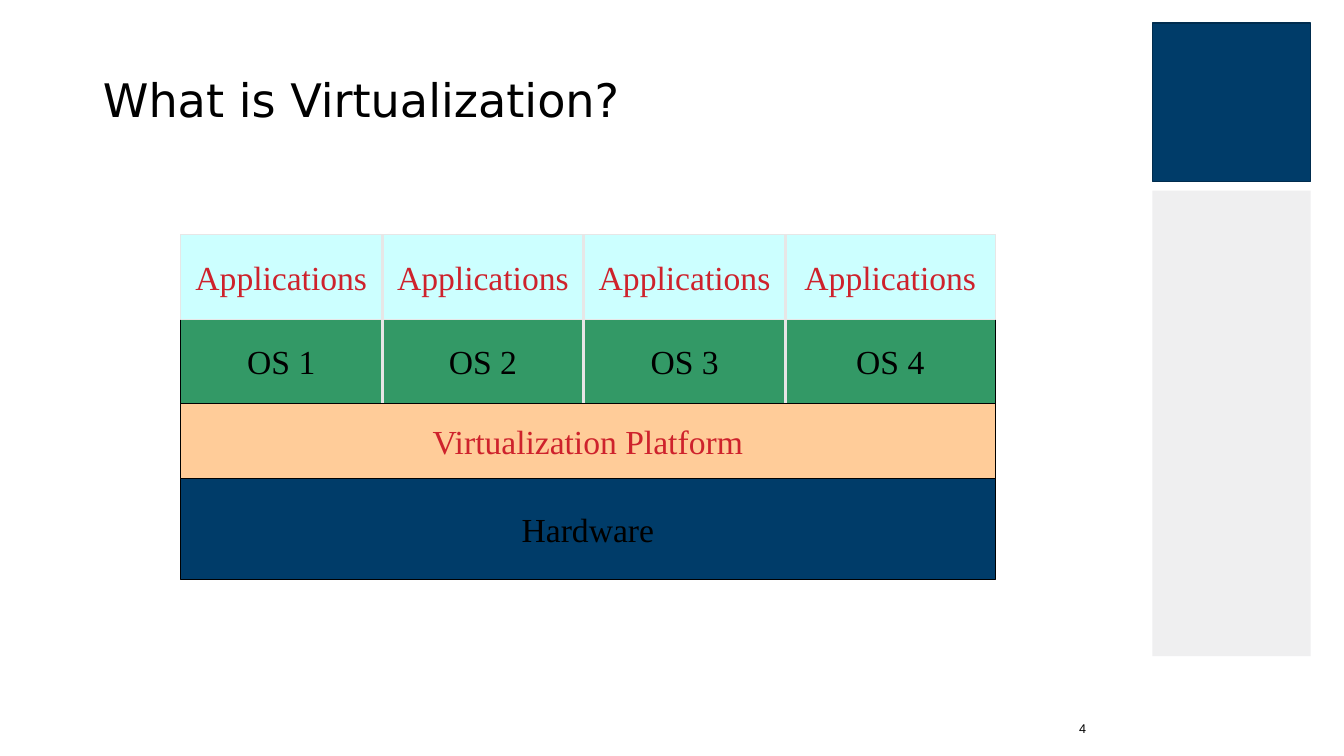
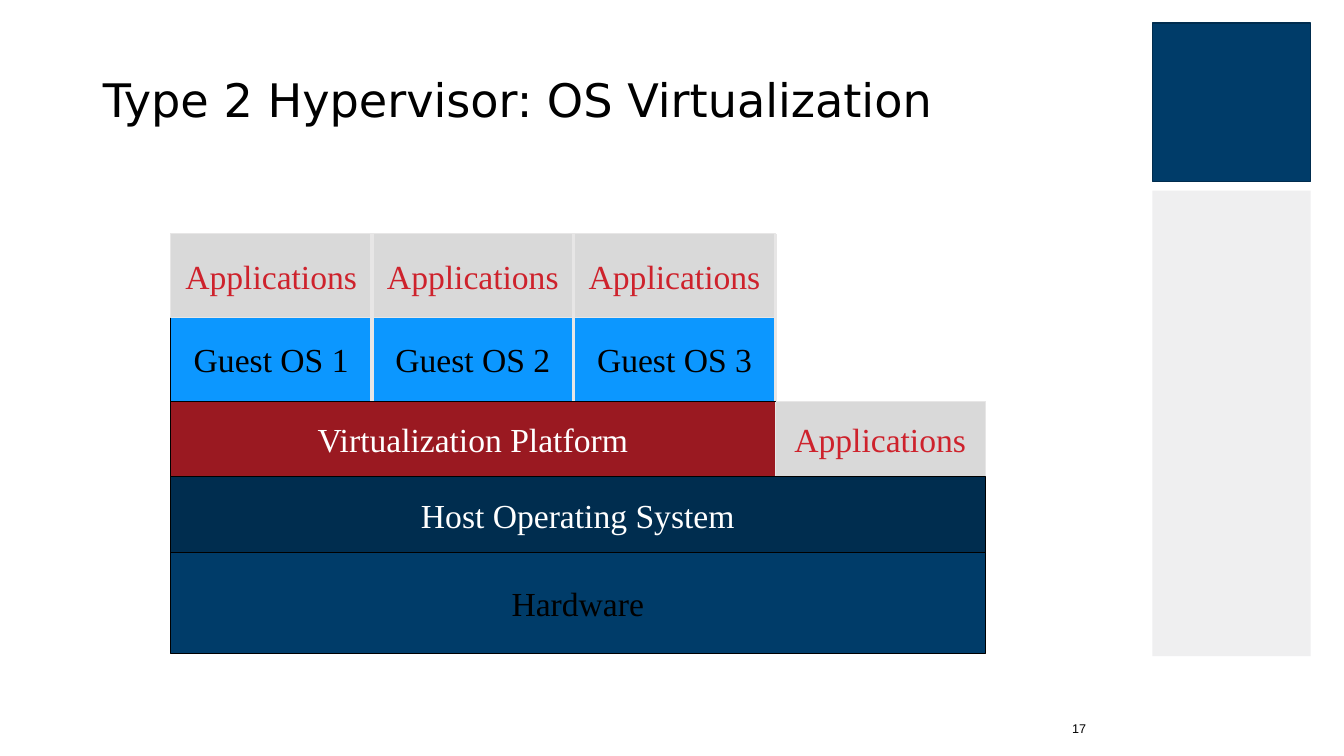
"""Builds two slides that show virtualization stacks."""
from dataclasses import dataclass

from lxml import etree
from pptx import Presentation
from pptx.dml.color import RGBColor
from pptx.enum.shapes import MSO_CONNECTOR, MSO_SHAPE
from pptx.enum.text import MSO_ANCHOR, MSO_AUTO_SIZE, PP_ALIGN
from pptx.oxml.ns import qn
from pptx.util import Pt

RECT, STRAIGHT = MSO_SHAPE.RECTANGLE, MSO_CONNECTOR.STRAIGHT
MIDDLE, BOTTOM = MSO_ANCHOR.MIDDLE, MSO_ANCHOR.BOTTOM
LEFT, CENTER, RIGHT = PP_ALIGN.LEFT, PP_ALIGN.CENTER, PP_ALIGN.RIGHT
NO_FIT = MSO_AUTO_SIZE.NONE
TITLE_ONLY = 5


@dataclass(frozen=True)
class Theme:
    """Colours, fonts and type sizes."""
    black: str = "000000"
    white: str = "FFFFFF"
    navy: str = "003C69"
    dark_navy: str = "002C4E"
    host: str = "002D4F"
    band: str = "EFEFF0"
    rule: str = "E7E6E6"
    red: str = "CE222C"
    dark_red: str = "9A1921"
    green: str = "339966"
    blue: str = "0C97FF"
    peach: str = "FFCC99"
    cyan: str = "CCFFFF"
    grey: str = "D9D9D9"
    title_font: str = "DejaVu Sans"
    number_font: str = "Arial"
    box_font: str = "Times New Roman"
    title_size: float = 33
    number_size: float = 9
    box_size: float = 24
    box_line: float = 0.75
    divider_line: float = 2.25


T = Theme()
PX = 9144
SLIDE_SIZE = (1333, 750)
TITLE_AT = (92, 23, 995, 157)
NUMBER_AT = (942, 695, 145, 40)
BANDS = [
    ((1143, 189, 157, 462), T.band, None),
    ((1143, 23, 157, 157), T.navy, T.dark_navy),
]
COLUMN_EDGES = [0, 200, 400, 600, 808]

STYLES = {
    "hardware": (T.navy, T.black, T.black),
    "host": (T.host, T.black, T.white),
    "platform": (T.peach, T.black, T.red),
    "hypervisor": (T.dark_red, T.black, T.white),
    "os": (T.green, T.black, T.black),
    "guest": (T.blue, T.black, T.black),
    "app": (T.cyan, T.rule, T.red),
    "guest app": (T.grey, T.rule, T.red),
}

SLIDES = [
    {
        "title": "What is Virtualization?",
        "number": "4",
        "origin": (179, 233),
        "divider": 167,
        "rows": [
            (242, 100, [("hardware", "Hardware", 4)]),
            (167, 75, [("platform", "Virtualization Platform", 4)]),
            (84, 83, [("os", f"OS {n}", 1) for n in range(1, 5)]),
            (0, 84, [("app", "Applications", 1)] * 4),
        ],
    },
    {
        "title": "Type 2 Hypervisor: OS Virtualization",
        "number": "17",
        "origin": (169, 232),
        "divider": 166,
        "rows": [
            (316, 100, [("hardware", "Hardware", 4)]),
            (166, 75, [("hypervisor", "Virtualization Platform", 3),
                       ("guest app", "Applications", 1)]),
            (83, 83, [("guest", f"Guest OS {n}", 1) for n in range(1, 4)]),
            (0, 83, [("guest app", "Applications", 1)] * 3),
            (241, 75, [("host", "Host Operating System", 4)]),
        ],
    },
]


def emu(*lengths):
    """Turns px into EMU."""
    return [n * PX for n in lengths]


def rgb(color):
    """Reads a colour of the theme."""
    return RGBColor.from_string(color)


def write(sp, text, font, size, color, align, anchor, wrap=True):
    """Puts one formatted paragraph in a shape."""
    tf = sp.text_frame
    tf.text = text
    tf.auto_size = NO_FIT
    tf.word_wrap = wrap
    tf.vertical_anchor = anchor
    p = tf.paragraphs[0]
    p.alignment = align
    p.font.name, p.font.size = font, Pt(size)
    p.font.color.rgb = rgb(color)
    return p


def add_rect(s, at, fill, line, width):
    """Adds a flat rectangle."""
    sp = s.shapes.add_shape(RECT, *emu(*at))
    sp.shadow.inherit = False
    sp.fill.solid()
    sp.fill.fore_color.rgb = rgb(fill)
    if line:
        sp.line.color.rgb = rgb(line)
        sp.line.width = Pt(width)
    else:
        sp.line.fill.background()
    return sp


def add_divider(s, x, top, bottom):
    """Adds a vertical line between two columns."""
    line = s.shapes.add_connector(STRAIGHT, *emu(x, top, x, bottom))
    line.line.color.rgb = rgb(T.rule)
    line.line.width = Pt(T.divider_line)
    etree.SubElement(line.element.spPr, qn("a:effectLst"))


def add_bands(s):
    """Draws the side bands and moves them to the layout of the slide."""
    tree = s.slide_layout.shapes.element
    for i, (at, fill, line) in enumerate(BANDS):
        tree.insert(2 + i, add_rect(s, at, fill, line, 1).element)


def add_stack(s, origin, rows, divider):
    """Draws rows of boxes on the column grid, then the dividers."""
    left, top = origin
    for offset, height, cells in rows:
        col = 0
        for style, label, span in cells:
            x, end = COLUMN_EDGES[col], COLUMN_EDGES[col + span]
            fill, line, color = STYLES[style]
            at = (left + x, top + offset, end - x, height)
            sp = add_rect(s, at, fill, line, T.box_line)
            write(sp, label, T.box_font, T.box_size, color, CENTER, MIDDLE, False)
            col += span
    for x in COLUMN_EDGES[1:-1]:
        add_divider(s, left + x, top, top + divider)


def add_slide(prs, layout, content):
    """Adds a slide with its title, number and stack."""
    s = prs.slides.add_slide(layout)
    title = s.shapes.title
    title.left, title.top, title.width, title.height = emu(*TITLE_AT)
    p = write(title, content["title"], T.title_font, T.title_size, T.black, LEFT, MIDDLE)
    p.line_spacing = 0.9
    number = s.shapes.add_textbox(*emu(*NUMBER_AT))
    write(number, content["number"], T.number_font, T.number_size, T.black, RIGHT, BOTTOM)
    add_stack(s, content["origin"], content["rows"], content["divider"])
    return s


def main():
    """Builds and saves the presentation."""
    prs = Presentation()
    prs.slide_width, prs.slide_height = emu(*SLIDE_SIZE)
    layout = prs.slide_layouts[TITLE_ONLY]
    slides = [add_slide(prs, layout, content) for content in SLIDES]
    add_bands(slides[0])
    prs.save("out.pptx")


if __name__ == "__main__":
    main()
